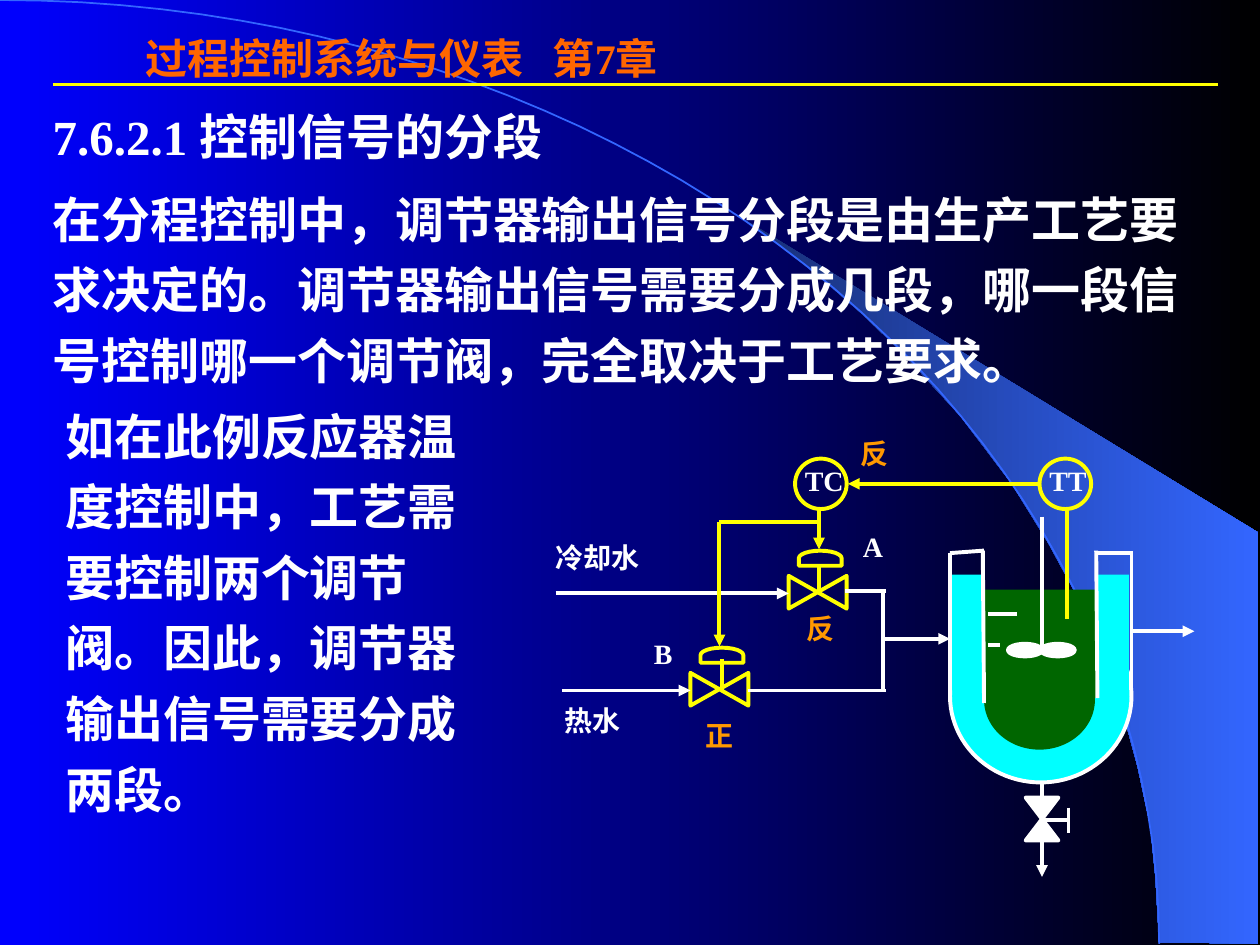
import math
from pptx import Presentation
from pptx.dml.color import RGBColor
from pptx.enum.shapes import MSO_CONNECTOR, MSO_SHAPE
from pptx.enum.text import MSO_ANCHOR
from pptx.oxml.ns import qn
from pptx.util import Inches, Pt
from lxml import etree

OVAL, RECT = MSO_SHAPE.OVAL, MSO_SHAPE.RECTANGLE
VALVE, DELAY = MSO_SHAPE.FLOWCHART_COLLATE, MSO_SHAPE.FLOWCHART_DELAY
STRAIGHT = MSO_CONNECTOR.STRAIGHT
TOP, MIDDLE = MSO_ANCHOR.TOP, MSO_ANCHOR.MIDDLE
WHITE, YELLOW, ORANGE = "FFFFFF", "FFFF00", "FF9900"
CYAN, GREEN, BLUE = "00FFFF", "006600", "3366FF"
rgb = RGBColor.from_string

prs = Presentation()
prs.slide_width, prs.slide_height = Inches(10), Inches(7.5)
s = prs.slides.add_slide(prs.slide_layouts[6])
U = prs.slide_width / 100  # grid of 100 columns by 75 rows
FINE = 100  # freeform steps per grid column


def style(sp, fill=None, line=None, width=2.25):
    """Fill and outline a shape; None leaves that part empty."""
    sp.shadow.inherit = False
    if fill:
        sp.fill.solid()
        sp.fill.fore_color.rgb = rgb(fill)
    else:
        sp.fill.background()
    if line:
        sp.line.color.rgb = rgb(line)
        sp.line.width = Pt(width)
    else:
        sp.line.fill.background()


def text(content, x, y, w, h, size=16, color=WHITE, anchor=TOP,
         spacing=1.2, before=7, tab=None):
    """Add a text box at grid columns and rows, one paragraph per line."""
    tf = s.shapes.add_textbox(*(int(v * U) for v in (x, y, w, h))).text_frame
    tf.word_wrap = True
    tf.vertical_anchor = anchor
    for i, line in enumerate(content.split("\n")):
        p = tf.paragraphs[0] if i == 0 else tf.add_paragraph()
        p.line_spacing = spacing
        if i:
            p.space_before = Pt(before)
        pPr = p._p.get_or_add_pPr()
        pPr.set("hangingPunct", "0")
        if tab:
            tabs = etree.SubElement(pPr, qn("a:tabLst"))
            etree.SubElement(tabs, qn("a:tab"), pos=str(int(tab * U)), algn="l")
        r = p.add_run()
        r.text = line
        r.font.name, r.font.size, r.font.bold = "Times New Roman", Pt(size), True
        r.font.color.rgb = rgb(color)


# Background: gradient, light beam and large arc
bg = s.background.fill
beam = [(92, 74.8), (99.9, 74.9), (99.9, 42.3), (58.9, 17.3), (62.4, 19.9),
        (65.3, 22.2), (68.5, 25), (71.6, 28), (76.2, 33), (80.3, 38.4),
        (83.2, 43.1), (85.8, 47.9), (87.8, 52.8), (89.3, 57.2), (90.3, 60.9),
        (91.3, 65.6), (91.7, 69.6)]
angles = [math.radians(a) for a in range(0, 91, 2)]
arc = [(92 * math.sin(a), 74.9 * (1 - math.cos(a))) for a in angles]

outlines = []
for points, closed in ((beam, True), (arc, False)):
    points = [(x * FINE, y * FINE) for x, y in points]
    fb = s.shapes.build_freeform(*points[0], scale=U / FINE)
    fb.add_line_segments(points[1:], close=closed)
    outlines.append(fb.convert_to_shape())
style(outlines[0])
style(outlines[1], line=BLUE, width=1)

for fill, ends in ((bg, ("0000FF", "000000")), (outlines[0].fill, ("182F76", BLUE))):
    fill.gradient()
    fill.gradient_angle = 0
    for stop, position, color in zip(fill.gradient_stops, (0, 1), ends):
        stop.position = position
        stop.color.rgb = rgb(color)

# Shapes: kind, left, top, width, height, rotation, fill, line
shapes = [
    # reactor vessel, jacket and stirrer
    (OVAL, 75.4, 48.4, 14.4, 13.7, 0, CYAN, WHITE),
    (OVAL, 78.1, 51.6, 8.8, 7.9, 0, GREEN, None),
    (RECT, 78, 46.8, 9.1, 8.6, 0, GREEN, None),
    (RECT, 75.4, 45.6, 2.6, 9.2, 0, CYAN, None),
    (RECT, 87, 45.6, 2.6, 9.2, 0, CYAN, None),
    (OVAL, 80, 51.1, 2.7, 1, 0, WHITE, WHITE),
    (OVAL, 82.6, 51.1, 2.7, 1, 0, WHITE, WHITE),
    (VALVE, 81.4, 63.3, 2.6, 3.4, 180, WHITE, WHITE),
]
for x, y in ((63.6, 44.7), (55.8, 52.4)):  # control valves A and B
    shapes += [(VALVE, x, y, 2.6, 4.6, 270, None, YELLOW),
               (DELAY, x + 0.9, y - 2.1, 1.2, 3.4, 270, None, YELLOW)]
for x in (63.1, 82.5):  # instruments TC and TT
    shapes.append((OVAL, x, 36.4, 4.1, 4, 0, None, YELLOW))

for kind, x, y, w, h, turn, fill, line in shapes:
    sp = s.shapes.add_shape(kind, *(int(v * U) for v in (x, y, w, h)))
    sp.rotation = turn
    style(sp, fill, line)

# Lines: from x, from y, to x, to y, arrow at the end
rule = [(4.2, 6.7, 96.7, 6.7, False)]
pipes = [
    (78, 43.7, 78.1, 55.8, False), (89.8, 43.8, 89.8, 55.5, False),
    (75.4, 43.9, 78.1, 43.7, False), (87, 43.9, 89.9, 43.9, False),
    (75.4, 43.9, 75.4, 55.5, False), (87, 43.7, 87.1, 55.4, False),
    (82.7, 41, 82.7, 51.6, False),
    (78.4, 48.7, 80.7, 48.7, False), (78.4, 51.2, 79.4, 51.2, False),
    (82.7, 62, 82.7, 69.6, True),
    (82.7, 65.1, 84.8, 65.1, False), (84.8, 64.1, 84.8, 66.1, False),
    (70.1, 50.7, 75.4, 50.7, True), (89.7, 50.1, 94.8, 50.1, True),
    (70.1, 46.8, 70.1, 54.9, False),
    (59.4, 54.8, 70.3, 54.8, False), (67.1, 46.9, 70.3, 46.9, False),
    (44.1, 47.1, 62.6, 47.1, True), (44.6, 54.8, 54.8, 54.8, True),
]
signals = [
    (65, 47, 65, 45, False), (57.3, 52.3, 57.3, 54.8, False),
    (65, 40.4, 65, 43.6, True), (84.7, 40.4, 84.7, 49.1, False),
    (82.4, 38.4, 67.3, 38.4, True),
    (57.1, 41.4, 57.1, 51.3, True), (57.1, 41.4, 65, 41.4, False),
]
for color, width, group in ((YELLOW, 1.5, rule), (WHITE, 2.25, pipes),
                            (YELLOW, 2.25, signals)):
    for *ends, arrow in group:
        cn = s.shapes.add_connector(STRAIGHT, *(int(v * U) for v in ends))
        cn.line.color.rgb = rgb(color)
        cn.line.width = Pt(width)
        if arrow:
            etree.SubElement(cn.line._get_or_add_ln(), qn("a:tailEnd"), type="triangle")
        etree.SubElement(cn._element.spPr, qn("a:effectLst"))

# Text
text("过程控制系统与仪表\t第7章", 10.6, 2.1, 44.9, 9, size=24, color="FF6600",
     spacing=1, tab=32.3)
text("7.6.2.1 控制信号的分段\n"
     "在分程控制中，调节器输出信号分段是由生产工艺要求决定的。"
     "调节器输出信号需要分成几段，哪一段信号控制哪一个调节阀，完全取决于工艺要求。",
     3.2, 7, 94, 24.4, size=28, anchor=MIDDLE)
text("如在此例反应器温度控制中，工艺需要控制两个调节阀。因此，调节器输出信号需要分成两段。",
     4.2, 30.8, 35.9, 34.6, size=28, anchor=MIDDLE)
for label, x, y, w, color in (
        ("TT", 82.3, 35.8, 7.3, WHITE), ("TC", 62.9, 35.8, 7.3, WHITE),
        ("热水", 43.8, 54.8, 9.9, WHITE), ("冷却水", 43.1, 41.9, 11.9, WHITE),
        ("B", 50.9, 49.5, 6.1, WHITE), ("A", 67.5, 41, 6.1, WHITE),
        ("反", 67.3, 33.6, 4.4, ORANGE), ("反", 63, 47.5, 4.4, ORANGE),
        ("正", 55, 56, 4.4, ORANGE)):
    text(label, x, y, w, 4.2, color=color)

prs.save("out.pptx")
